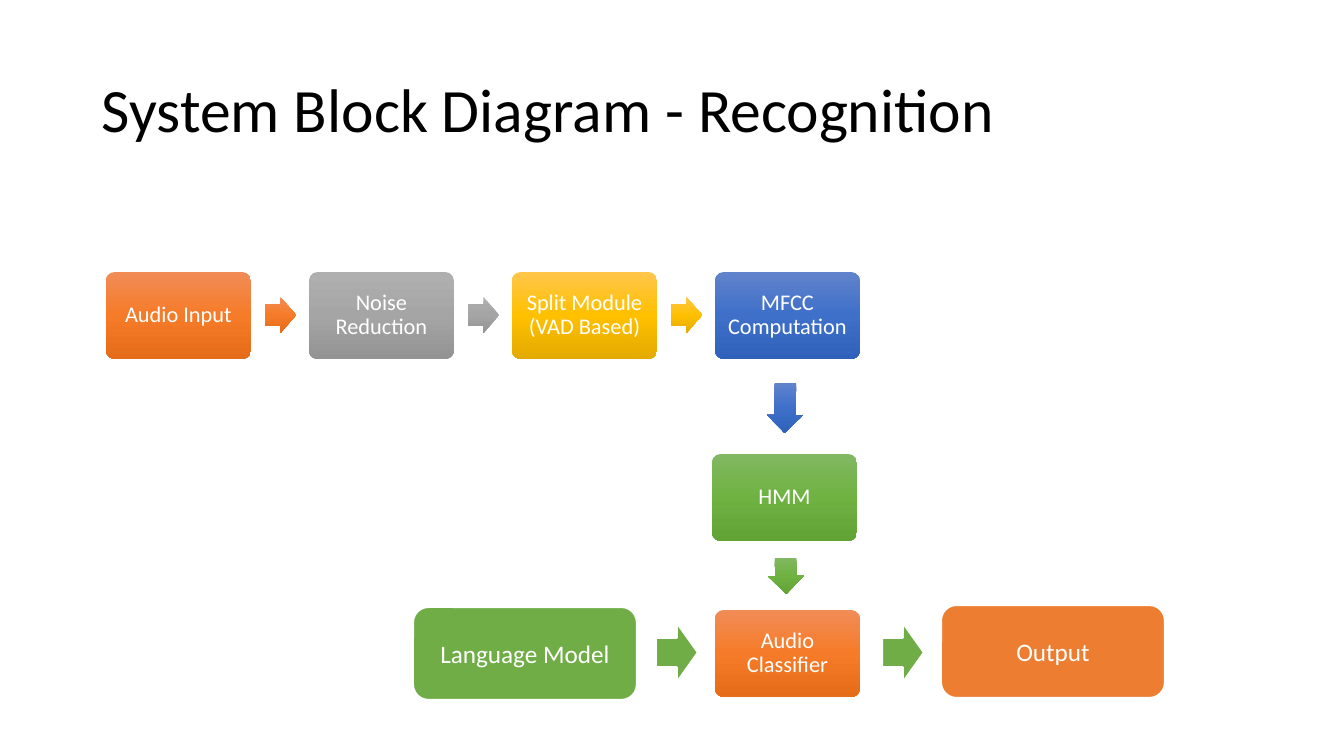
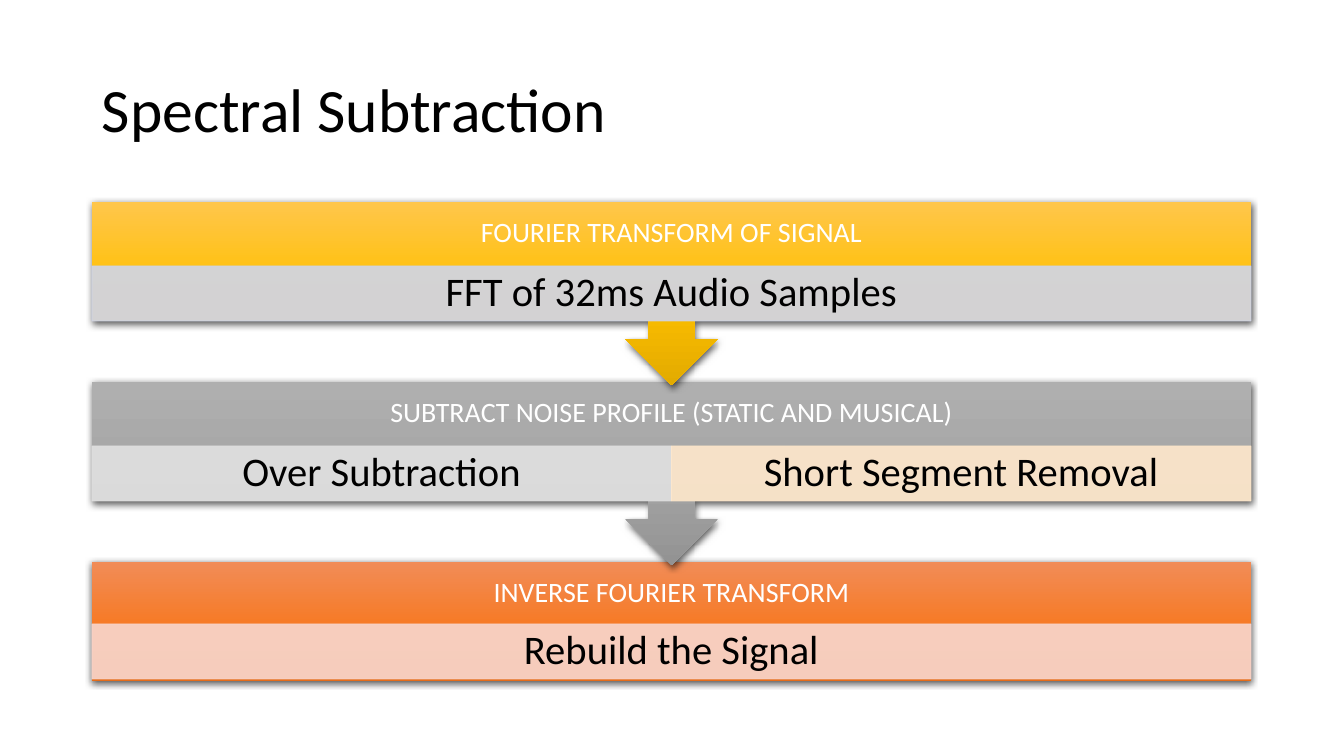
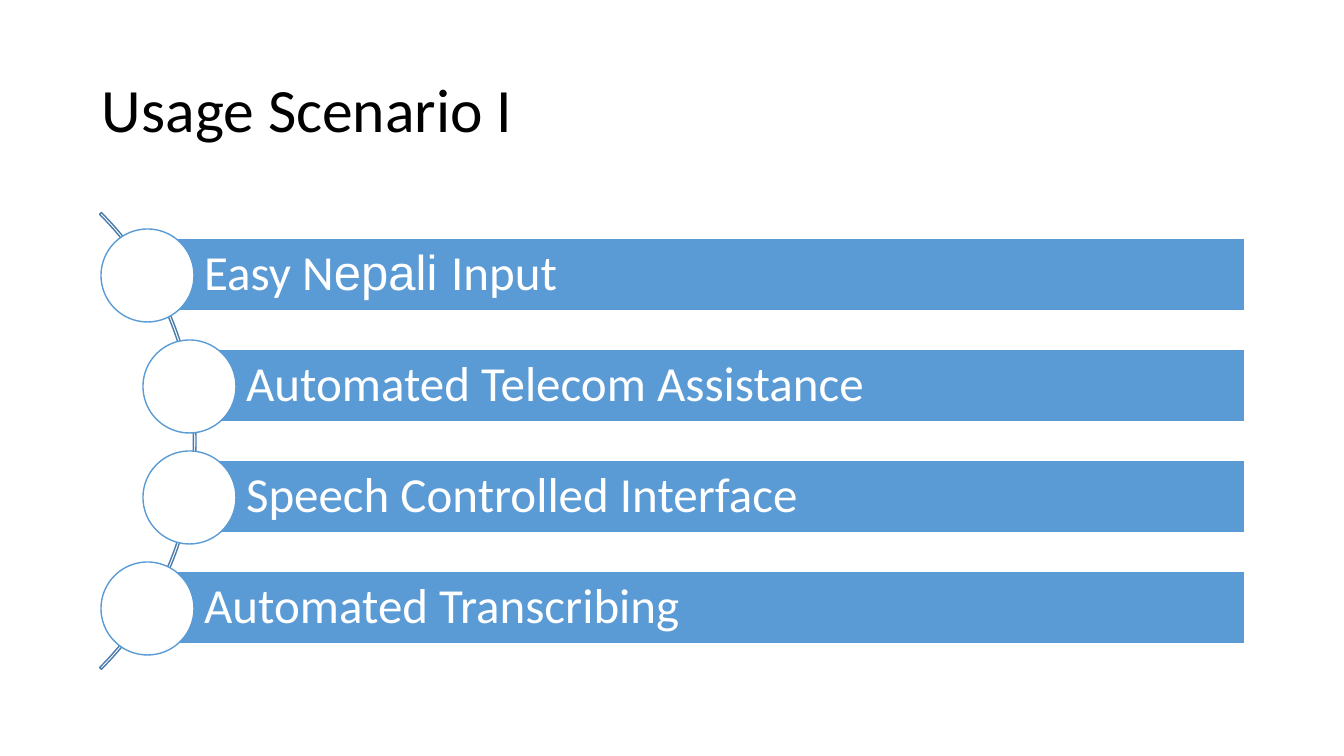
from copy import deepcopy
from dataclasses import dataclass
from typing import NamedTuple

from lxml import etree
from pptx import Presentation
from pptx.dml.color import RGBColor
from pptx.enum.shapes import MSO_SHAPE
from pptx.enum.text import MSO_ANCHOR, MSO_AUTO_SIZE, PP_ALIGN
from pptx.oxml.ns import qn
from pptx.util import Emu, Pt

RECTANGLE = MSO_SHAPE.RECTANGLE
ROUNDED = MSO_SHAPE.ROUNDED_RECTANGLE
RIGHT_ARROW = MSO_SHAPE.RIGHT_ARROW
CALLOUT = MSO_SHAPE.UP_ARROW_CALLOUT
OVAL = MSO_SHAPE.OVAL
BLOCK_ARC = MSO_SHAPE.BLOCK_ARC
LEFT, CENTER = PP_ALIGN.LEFT, PP_ALIGN.CENTER
MIDDLE = MSO_ANCHOR.MIDDLE
NO_AUTOFIT = MSO_AUTO_SIZE.NONE
TITLE_ONLY = 5
PIXELS_PER_INCH = 100.8


@dataclass(frozen=True)
class Theme:
    """Colours, fonts and type sizes of the deck."""
    font: str = "Calibri"
    second_font: str = "Arial"
    black: str = "000000"
    white: str = "FFFFFF"
    orange: str = "ED7D31"
    green: str = "70AD47"
    blue: str = "5B9BD5"
    arc_line: str = "497CAB"
    pale_blue: str = "CFD5EA"
    pale_gray: str = "E1E1E1"
    pale_yellow: str = "FFE8CC"
    pale_orange: str = "F8D7CE"
    orange_shades: tuple = ("F18C57", "F67B28", "E56C19")
    gray_shades: tuple = ("AFAFAF", "A5A5A5", "939393")
    yellow_shades: tuple = ("FFC64B", "FFC000", "E3AB00")
    blue_shades: tuple = ("6183CB", "3E70CA", "3062BB")
    green_shades: tuple = ("81B861", "6FB242", "62A336")
    title_size: int = 44
    node_size: int = 16
    plain_node_size: int = 18
    header_size: int = 20
    detail_size: int = 29
    bar_size: int = 35


THEME = Theme()


class Box(NamedTuple):
    """A place on the page, in pixels."""
    left: int
    top: int
    width: int
    height: int


PAGE = Box(0, 0, 1344, 756)
TITLE = Box(92, 40, 1159, 146)


def px(length):
    """Turn pixels into EMU."""
    return Emu(round(length * 914400 / PIXELS_PER_INCH))


def write_text(frame, text, size, color=THEME.white, align=CENTER,
               insets=(10, 5, 10, 5), spacing=0.9):
    """Write a string, or a list of (string, font) spans, as one paragraph."""
    frame.word_wrap = True
    frame.auto_size = NO_AUTOFIT
    frame.vertical_anchor = MIDDLE
    (frame.margin_left, frame.margin_top,
     frame.margin_right, frame.margin_bottom) = map(px, insets)
    para = frame.paragraphs[0]
    para.alignment = align
    para.line_spacing = spacing
    spans = [(text, THEME.font)] if isinstance(text, str) else text
    for words, font in spans:
        span = para.add_run()
        span.text = words
        span.font.name = font
        span.font.size = Pt(size)
        span.font.color.rgb = RGBColor.from_string(color)


def fill_gradient(shape, shades):
    """Fill from top to bottom with evenly spaced shades, upright if rotated."""
    shape.fill.gradient()
    shape.fill.gradient_angle = 270
    gradient = shape._element.spPr.find(qn("a:gradFill"))
    gradient.set("rotWithShape", "0")
    stops = gradient.find(qn("a:gsLst"))
    while len(stops) < len(shades):
        stops.append(deepcopy(stops[0]))
    for index, (stop, shade) in enumerate(zip(shape.fill.gradient_stops, shades)):
        stop.color.rgb = RGBColor.from_string(shade)
        stop.position = index / (len(shades) - 1)


def add_shadow(shape):
    """Cast a soft black shadow straight down."""
    effects = shape._element.spPr.find(qn("a:effectLst"))
    shadow = etree.SubElement(effects, qn("a:outerShdw"), blurRad=str(Pt(4.5)),
                              dist=str(Pt(1.5)), dir="5400000", algn="ctr",
                              rotWithShape="0")
    color = etree.SubElement(shadow, qn("a:srgbClr"), val=THEME.black)
    etree.SubElement(color, qn("a:alpha"), val="63000")


def set_opacity(shape, percent):
    """Make the solid fill and line of a shape partly transparent."""
    for color in shape._element.spPr.iter(qn("a:srgbClr")):
        etree.SubElement(color, qn("a:alpha"), val=str(percent * 1000))


def add_figure(slide, kind, box, fill=None, line=None, width=1,
               adjustments=(), rotation=0):
    """Add a preset shape; fill is a colour, a tuple of shades or None."""
    shape = slide.shapes.add_shape(kind, *map(px, box))
    shape.shadow.inherit = False
    shape.rotation = rotation
    for index, value in enumerate(adjustments):
        shape.adjustments[index] = value
    if fill is None:
        shape.fill.background()
    elif isinstance(fill, tuple):
        fill_gradient(shape, fill)
    else:
        shape.fill.solid()
        shape.fill.fore_color.rgb = RGBColor.from_string(fill)
    if line:
        shape.line.color.rgb = RGBColor.from_string(line)
        shape.line.width = Pt(width)
    else:
        shape.line.fill.background()
    return shape


def add_titled_slide(deck, title):
    """Add a slide with the shared title style."""
    slide = deck.slides.add_slide(deck.slide_layouts[TITLE_ONLY])
    holder = slide.shapes.title
    holder.left, holder.top, holder.width, holder.height = map(px, TITLE)
    write_text(holder.text_frame, title, THEME.title_size, THEME.black, LEFT)
    return slide


def add_node(slide, left, top, text, shades):
    """Add one shaded step of the block diagram."""
    node = add_figure(slide, ROUNDED, Box(left, top, 145, 87), shades,
                      adjustments=(0.1,))
    write_text(node.text_frame, text, THEME.node_size, insets=(7, 7, 7, 7))


def add_flow_arrow(slide, box, shades, rotation=0):
    """Add a shaded arrow between two steps."""
    add_figure(slide, RIGHT_ARROW, box, shades, adjustments=(0.6, 0.5),
               rotation=rotation)


def add_node_row(slide, left, top, steps):
    """Place steps from left to right with an arrow after all but the last."""
    for index, (text, shades) in enumerate(steps):
        node_left = left + 203 * index
        add_node(slide, node_left, top, text, shades)
        if index < len(steps) - 1:
            add_flow_arrow(slide, Box(node_left + 159, top + 25, 31, 36), shades)


def add_plain_node(slide, left, top, text, color):
    """Add a flat step with a white outline."""
    node = add_figure(slide, ROUNDED, Box(left, top, 224, 93), color,
                      THEME.white, 1.5)
    write_text(node.text_frame, text, THEME.plain_node_size, spacing=1)


def build_recognition(deck):
    """Build the block diagram slide."""
    slide = add_titled_slide(deck, "System Block Diagram - Recognition")
    add_node_row(slide, 106, 272, [
        ("Audio Input", THEME.orange_shades),
        ("Noise Reduction", THEME.gray_shades),
        ("Split Module (VAD Based)", THEME.yellow_shades),
        ("MFCC Computation", THEME.blue_shades),
    ])
    add_flow_arrow(slide, Box(760, 390, 50, 36), THEME.blue_shades, 90.7)
    add_node(slide, 712, 454, "HMM", THEME.green_shades)
    add_flow_arrow(slide, Box(768, 558, 36, 36), THEME.green_shades, 88.8)
    add_node(slide, 715, 610, "Audio Classifier", THEME.orange_shades)
    add_plain_node(slide, 413, 607, "Language Model", THEME.green)
    add_plain_node(slide, 941, 605, "Output", THEME.orange)
    for left in (656, 882):
        add_figure(slide, RIGHT_ARROW, Box(left, 623, 42, 59), THEME.green,
                   THEME.white, 1.5)


def add_stage(slide, box, header, shades, details, is_last):
    """Add a header band over detail cells, with an arrow to the next stage."""
    if is_last:
        panel = add_figure(slide, RECTANGLE, box._replace(height=119), shades)
    else:
        panel = add_figure(slide, CALLOUT, box, shades, rotation=180)
    add_shadow(panel)
    band = slide.shapes.add_textbox(*map(px, box._replace(height=63)))
    write_text(band.text_frame, header, THEME.header_size, insets=(16,) * 4)
    cell_top = box.top + (62 if is_last else 64)
    cell_width = box.width / len(details)
    for index, (text, color) in enumerate(details):
        cell_box = Box(box.left + cell_width * index, cell_top, cell_width, 55)
        cell = add_figure(slide, RECTANGLE, cell_box, color, color, 0.5)
        set_opacity(cell, 90)
        write_text(cell.text_frame, text, THEME.detail_size, THEME.black,
                   insets=(23, 4, 23, 4))


def build_subtraction(deck):
    """Build the three stage process slide, lowest stage at the back."""
    slide = add_titled_slide(deck, "Spectral Subtraction")
    stages = [
        ("FOURIER TRANSFORM OF SIGNAL", THEME.yellow_shades,
         [("FFT of 32ms Audio Samples", THEME.pale_blue)]),
        ("SUBTRACT NOISE PROFILE (STATIC AND MUSICAL)", THEME.gray_shades,
         [("Over Subtraction", THEME.pale_gray),
          ("Short Segment Removal", THEME.pale_yellow)]),
        ("INVERSE FOURIER TRANSFORM", THEME.orange_shades,
         [("Rebuild the Signal", THEME.pale_orange)]),
    ]
    last = len(stages) - 1
    for index, (header, shades, details) in reversed(list(enumerate(stages))):
        box = Box(TITLE.left, 202 + 180 * index, TITLE.width, 183)
        add_stage(slide, box, header, shades, details, index == last)


def add_scenario(slide, box, text):
    """Add a bar with a round marker centred near its left edge."""
    bar = add_figure(slide, RECTANGLE, box, THEME.blue, THEME.white)
    write_text(bar.text_frame, text, THEME.bar_size, align=LEFT,
               insets=(58, 10, 10, 10))
    marker = Box(box.left - 45, box.top - 9, 93, 93)
    add_figure(slide, OVAL, marker, THEME.white, THEME.blue)


def build_scenarios(deck):
    """Build the list of scenarios along an arc."""
    slide = add_titled_slide(deck, "Usage Scenario I")
    add_figure(slide, BLOCK_ARC, Box(-450, 118, 646, 646), line=THEME.arc_line,
               adjustments=(189, 27, 0.004))
    scenarios = [
        (146, [("Easy N", THEME.font), ("epali ", THEME.second_font),
               ("Input", THEME.font)]),
        (188, "Automated Telecom Assistance"),
        (188, "Speech Controlled Interface"),
        (146, "Automated Transcribing"),
    ]
    right = 1245
    for index, (left, text) in enumerate(scenarios):
        add_scenario(slide, Box(left, 238 + 111 * index, right - left, 73), text)


def main():
    """Build and save the deck."""
    deck = Presentation()
    deck.slide_width, deck.slide_height = px(PAGE.width), px(PAGE.height)
    build_recognition(deck)
    build_subtraction(deck)
    build_scenarios(deck)
    deck.save("out.pptx")


main()
